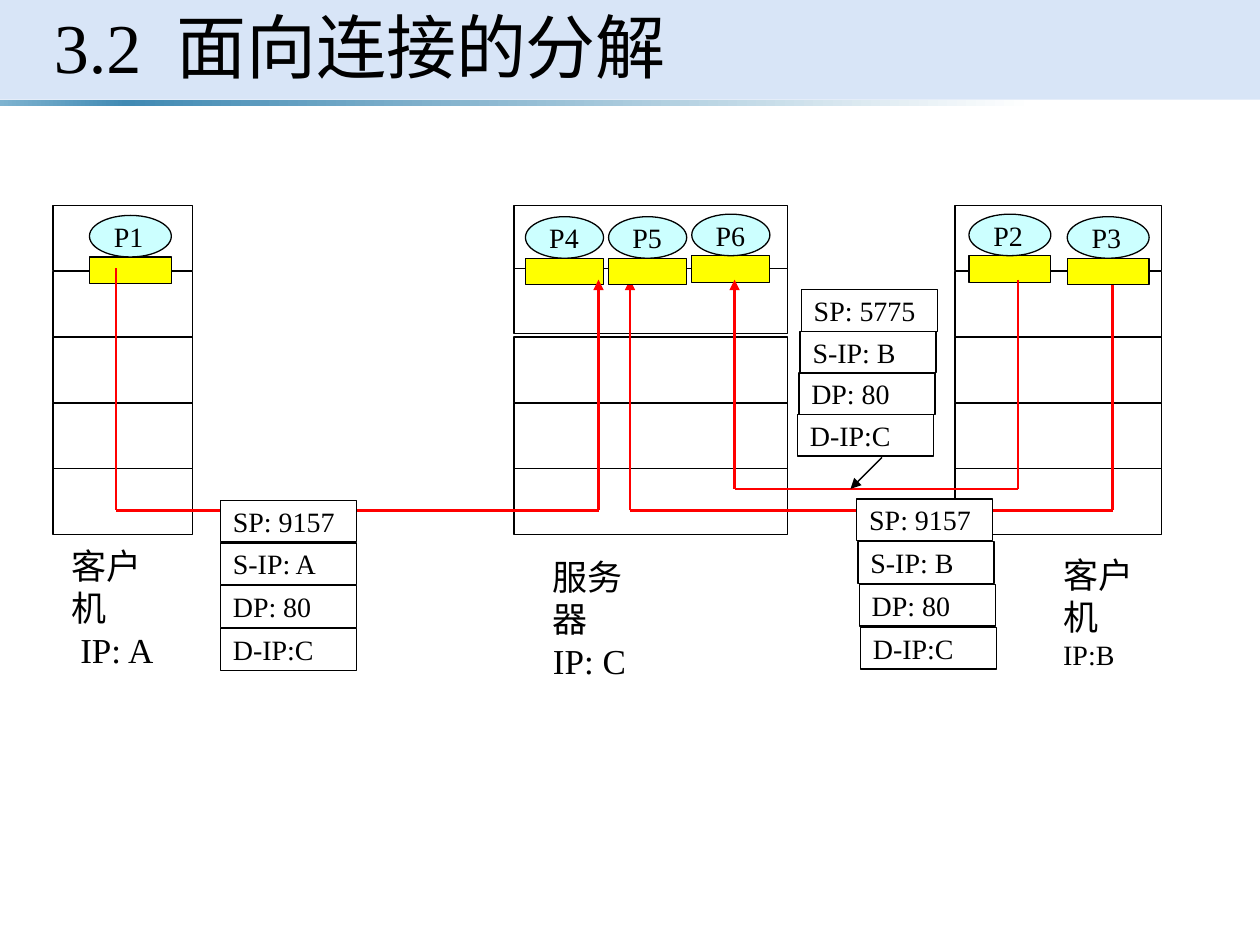
from pptx import Presentation
from pptx.dml.color import RGBColor
from pptx.enum.shapes import MSO_CONNECTOR, MSO_SHAPE
from pptx.enum.text import MSO_ANCHOR, PP_ALIGN
from pptx.oxml import parse_xml
from pptx.oxml.ns import nsdecls, qn
from pptx.util import Inches, Pt
from lxml.etree import SubElement

FONT = "Times New Roman"
BLACK, WHITE, RED = "000000", "FFFFFF", "FF0000"
LAYER_COUNT, LAYER_HEIGHT = 5, 0.52


def color(value):
    return RGBColor.from_string(value)


def add_box(slide, kind, left, top, width, height, fill, line=BLACK):
    shape = slide.shapes.add_shape(
        kind, Inches(left), Inches(top), Inches(width), Inches(height))
    shape.shadow.inherit = False
    shape.fill.solid()
    shape.fill.fore_color.rgb = color(fill)
    if line:
        shape.line.color.rgb = color(line)
        shape.line.width = Pt(0.75)
    else:
        shape.line.fill.background()
    return shape


def style_paragraph(paragraph, size):
    paragraph.alignment = PP_ALIGN.LEFT
    paragraph.font.name = FONT
    paragraph.font.size = Pt(size)
    paragraph.font.color.rgb = color(BLACK)


def set_label(shape, text):
    frame = shape.text_frame
    frame.word_wrap = False
    frame.vertical_anchor = MSO_ANCHOR.MIDDLE
    frame.text = text
    style_paragraph(frame.paragraphs[0], 16)


def add_line(slide, start, end, line, width, arrow=False):
    connector = slide.shapes.add_connector(
        MSO_CONNECTOR.STRAIGHT, *(Inches(value) for value in (*start, *end)))
    connector.line.color.rgb = color(line)
    connector.line.width = Pt(width)
    if arrow:
        SubElement(connector.line._get_or_add_ln(), qn("a:tailEnd"), type="triangle")
    SubElement(connector._element.spPr, qn("a:effectLst"))


def add_title(slide, left, top, width, height):
    # Tinted band
    band = add_box(slide, MSO_SHAPE.RECTANGLE, 0, 0, 10, 0.79, "C8DAF4", None)
    band_color = band._element.spPr.find(qn("a:solidFill"))[0]
    SubElement(band_color, qn("a:alpha"), val="70000")

    # Fading rule below the band
    rule = add_box(slide, MSO_SHAPE.RECTANGLE, 0, 0.79, 10, 0.05, WHITE, None)
    stops = "".join(
        f'<a:gs pos="{percent * 1000}"><a:srgbClr val="{value}"/></a:gs>'
        for percent, value in ((0, "7EB3D0"), (10, "418AB3"), (82, WHITE), (100, WHITE)))
    gradient = parse_xml(
        f'<a:gradFill {nsdecls("a")}><a:gsLst>{stops}</a:gsLst><a:lin ang="0"/></a:gradFill>')
    properties = rule._element.spPr
    properties.replace(properties.find(qn("a:solidFill")), gradient)

    # Title text, with a widened gap after the number
    title = slide.shapes.add_textbox(
        Inches(left), Inches(top), Inches(width), Inches(height))
    frame = title.text_frame
    frame.word_wrap = True
    frame.vertical_anchor = MSO_ANCHOR.MIDDLE
    paragraph = frame.paragraphs[0]
    paragraph.line_spacing = 0.9
    style_paragraph(paragraph, 40)
    for text in ("3.2", " ", "面向连接的分解"):
        run = paragraph.add_run()
        run.text = text
        if text == " ":
            run._r.get_or_add_rPr().set("spc", "1000")


def add_host(slide, left, width, tops):
    for top in tops:
        add_box(slide, MSO_SHAPE.RECTANGLE, left, top, width, LAYER_HEIGHT, WHITE)


def add_caption(slide, left, top, width, height, lines):
    caption = slide.shapes.add_textbox(
        Inches(left), Inches(top), Inches(width), Inches(height))
    frame = caption.text_frame
    frame.word_wrap = False
    frame.text = "\n".join(text for text, size in lines)
    for paragraph, (text, size) in zip(frame.paragraphs, lines):
        style_paragraph(paragraph, size)


def add_process(slide, name, left, top, width):
    """Process ellipse standing on its yellow socket."""
    add_box(slide, MSO_SHAPE.RECTANGLE, left, top + 0.33, width, 0.21, "FFFF00")
    process = add_box(slide, MSO_SHAPE.OVAL, left, top, width, 0.33, "CCFFFF")
    set_label(process, name)


def add_route(slide, start, bottom, end):
    """Red path down from one socket, across, and up to another."""
    corners = [start, (start[0], bottom), (end[0], bottom), end]
    for index, (first, second) in enumerate(zip(corners, corners[1:])):
        add_line(slide, first, second, RED, 1.5, arrow=index == 2)


def add_segment(slide, left, top, fields, step, drift):
    """Stack of header fields; drift shifts each row sideways."""
    for row, text in enumerate(fields):
        field = add_box(slide, MSO_SHAPE.RECTANGLE,
                        left + row * drift, top + row * step, 1.08, 0.33, WHITE)
        set_label(field, text)


def main():
    presentation = Presentation()
    presentation.slide_width = Inches(10)
    presentation.slide_height = Inches(7.5)
    slide = presentation.slides.add_slide(presentation.slide_layouts[6])

    add_title(slide, 0.33, 0, 9.31, 0.81)

    # Protocol stacks of the client, the server and the second client
    tops = [1.63 + row * 0.5225 for row in range(LAYER_COUNT)]
    add_host(slide, 0.42, 1.11, tops)
    add_host(slide, 7.58, 1.64, tops)
    add_host(slide, 4.08, 2.17, [tops[0], 2.13, *tops[2:]])

    add_caption(slide, 0.47, 4.27, 1.03, 0.77, [("客户机", 20), (" IP: A", 20)])
    add_caption(slide, 4.29, 4.36, 1.03, 0.77, [("服务器", 20), ("IP: C", 20)])
    add_caption(slide, 8.34, 4.34, 1.03, 0.7, [("客户机", 20), ("IP:B", 16)])

    # Processes whose sockets lie below the routes
    add_process(slide, "P1", 0.71, 1.71, 0.65)
    add_process(slide, "P2", 7.69, 1.7, 0.65)
    add_process(slide, "P4", 4.17, 1.72, 0.62)
    add_process(slide, "P6", 5.49, 1.7, 0.62)

    # Connections
    add_route(slide, (0.92, 2.13), 4.05, (4.75, 2.22))
    add_route(slide, (8.83, 2.13), 4.05, (5, 2.22))
    add_route(slide, (8.08, 2.22), 3.88, (5.83, 2.22))

    # Processes whose sockets cover the route ends
    add_process(slide, "P5", 4.83, 1.72, 0.62)
    add_process(slide, "P3", 8.47, 1.72, 0.65)

    # Segment headers
    add_segment(slide, 1.75, 3.97, ["SP: 9157", "S-IP: A", "DP: 80", "D-IP:C"], 0.34, 0)
    add_segment(slide, 6.8, 3.96, ["SP: 9157", "S-IP: B", "DP: 80", "D-IP:C"], 0.34, 0.01)
    add_segment(slide, 6.36, 2.3, ["SP: 5775", "S-IP: B", "DP: 80", "D-IP:C"], 0.33, -0.01)
    add_line(slide, (7, 3.63), (6.75, 3.88), BLACK, 0.75, arrow=True)

    presentation.save("out.pptx")


if __name__ == "__main__":
    main()
